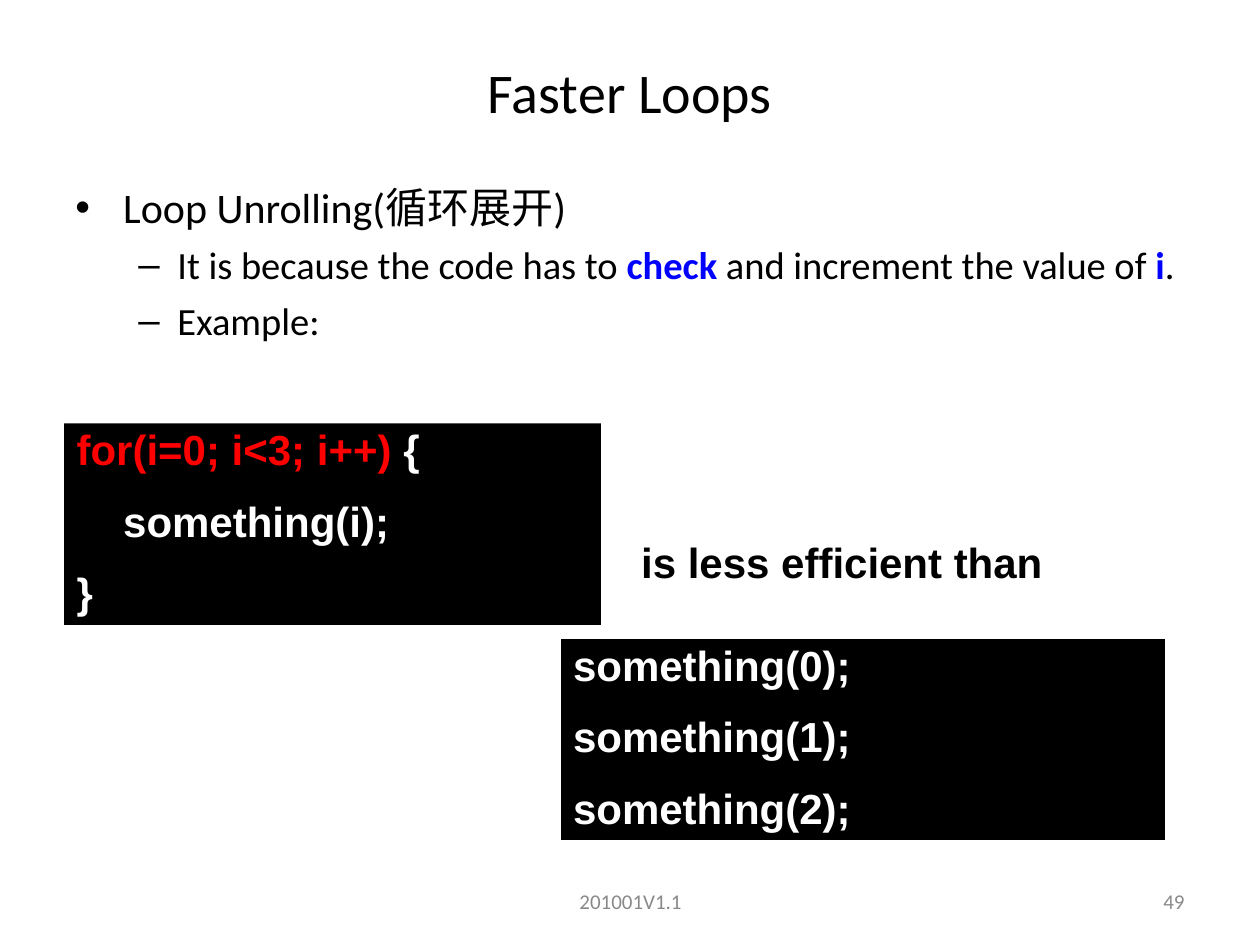
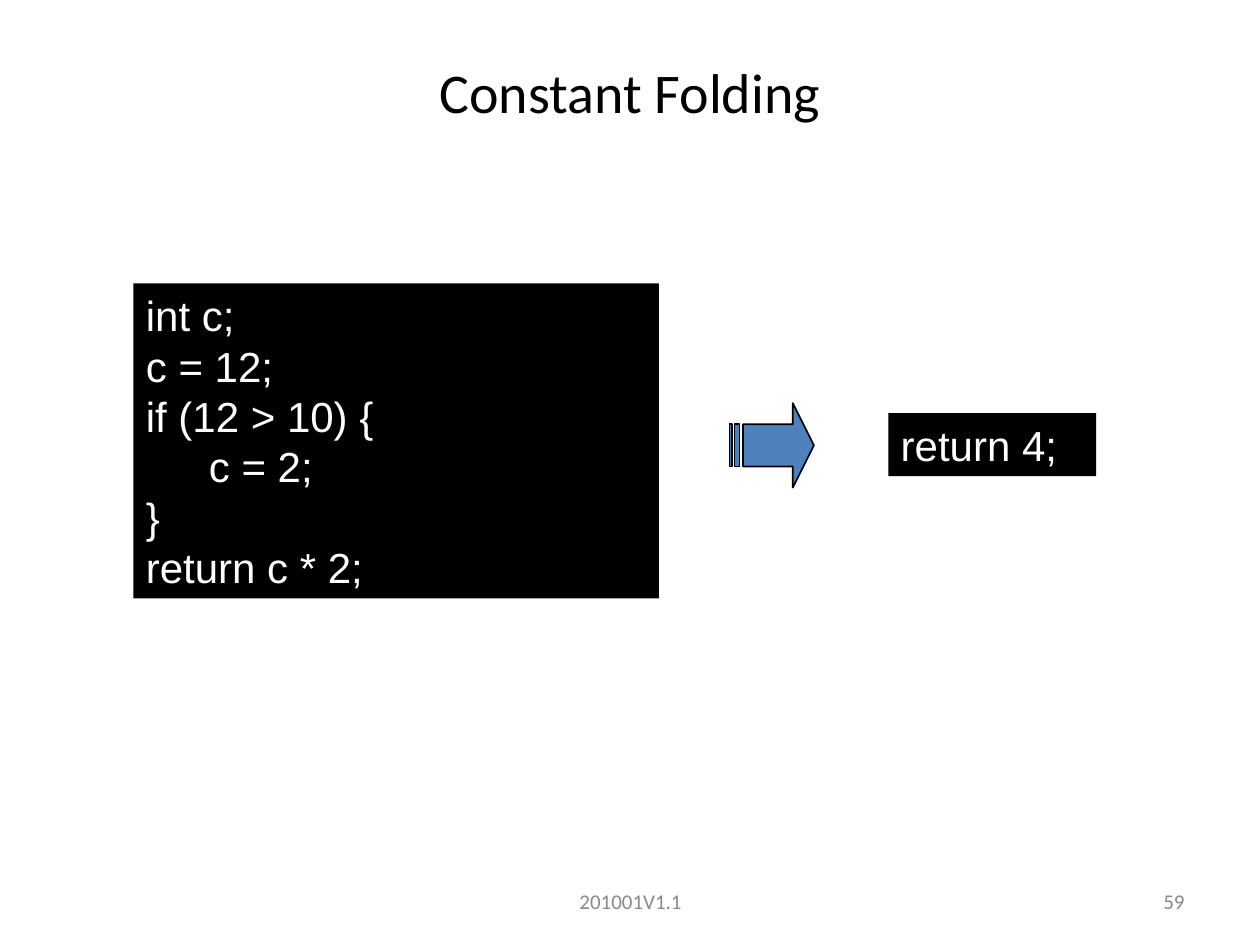
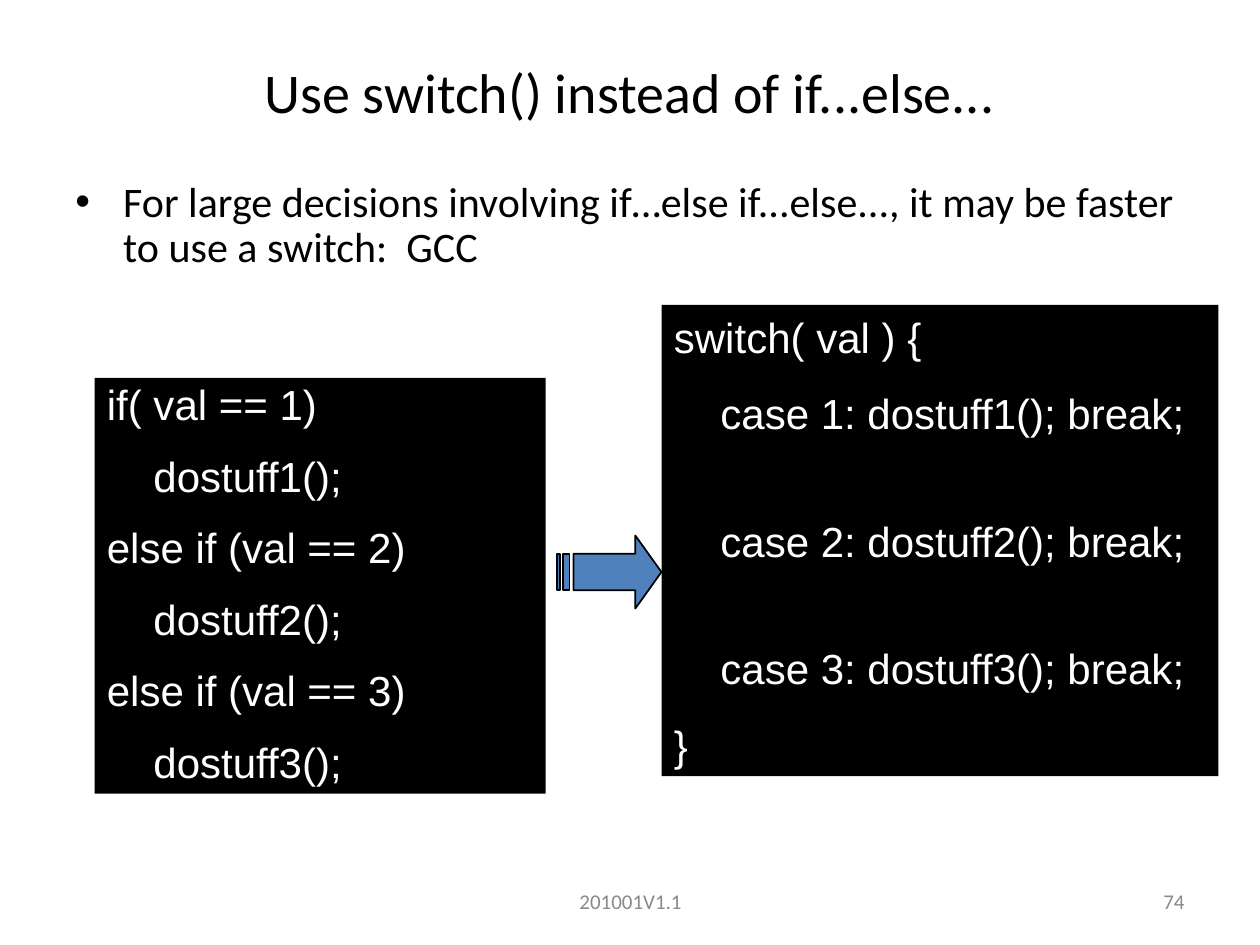
from lxml.etree import SubElement
from pptx import Presentation
from pptx.dml.color import RGBColor
from pptx.enum.shapes import MSO_SHAPE
from pptx.enum.text import MSO_ANCHOR, PP_ALIGN
from pptx.oxml.ns import qn
from pptx.util import Inches, Pt

BLACK = RGBColor(0x00, 0x00, 0x00)
WHITE = RGBColor(0xFF, 0xFF, 0xFF)
GREY = RGBColor(0x89, 0x89, 0x89)
RED = RGBColor(0xFF, 0x00, 0x00)
BLUE = RGBColor(0x00, 0x00, 0xFF)
ARROW_BLUE = RGBColor(0x4F, 0x81, 0xBD)

PROSE_FONT = "Calibri"
CODE_FONT = "Arial"
CODE_SIZE = 24
TIGHT = 0.9
CODE_GAP = 15
SKIPPED_LINE_GAP = 44

# Per level: bullet, text indent, hanging indent, size, space before
LEVELS = [("•", 0.38, 0.38, 24, 6), ("–", 0.81, 0.31, 22, 5.5)]

# Arrow outlines as fractions of the arrow's width and height
ARROW_HEAD = [(0.75, 0), (0.75, 0.25), (0.16, 0.25), (0.16, 0.75),
              (0.75, 0.75), (0.75, 1), (1, 0.5)]
ARROW_STRIPES = [[(x1, 0.25), (x1, 0.75), (x2, 0.75), (x2, 0.25)]
                 for x1, x2 in ((0.06, 0.12), (0, 0.03))]


class Deck:
    def __init__(self):
        self.presentation = Presentation()
        self.presentation.slide_width = Inches(10)
        self.presentation.slide_height = Inches(7.5)
        self.slide = None

    def new_slide(self, title, number):
        self.slide = self.presentation.slides.add_slide(
            self.presentation.slide_layouts[6])
        self.label("201001V1.1", (3.42, 6.95, 3.17, 0.4), 12, GREY)
        self.label(number, (7.17, 6.95, 2.33, 0.4), 12, GREY, PP_ALIGN.RIGHT)
        self.label(title, (0, 0.3, 10, 0.85), 32)

    def text_frame(self, place):
        frame = self.slide.shapes.add_textbox(*map(Inches, place)).text_frame
        frame.word_wrap = True
        return frame

    def fill_paragraph(self, paragraph, content, font, size, color, bold=False):
        """Fill a paragraph from a string or a list of strings and (text, colour) accents."""
        paragraph.font.name = font
        paragraph.font.size = Pt(size)
        paragraph.font.color.rgb = color
        paragraph.font.bold = bold
        for part in [content] if isinstance(content, str) else content:
            run = paragraph.add_run()
            if isinstance(part, str):
                run.text = part
            else:
                run.text, run.font.color.rgb = part
                run.font.bold = True

    def label(self, text, place, size, color=BLACK, align=PP_ALIGN.CENTER,
              font=PROSE_FONT, bold=False):
        frame = self.text_frame(place)
        frame.vertical_anchor = MSO_ANCHOR.MIDDLE
        paragraph = frame.paragraphs[0]
        paragraph.alignment = align
        self.fill_paragraph(paragraph, text, font, size, color, bold)

    def bullets(self, items, place, line_spacing=1.0):
        frame = self.text_frame(place)
        for index, (level, content) in enumerate(items):
            mark, indent, hanging, size, gap = LEVELS[level]
            paragraph = frame.add_paragraph() if index else frame.paragraphs[0]
            paragraph.level = level
            paragraph.line_spacing = line_spacing
            if index:
                paragraph.space_before = Pt(gap)
            properties = paragraph._p.get_or_add_pPr()
            properties.set("marL", str(Inches(indent)))
            properties.set("indent", str(-Inches(hanging)))
            SubElement(properties, qn("a:buFont"), typeface="Arial")
            SubElement(properties, qn("a:buChar"), char=mark)
            self.fill_paragraph(paragraph, content, PROSE_FONT, size, BLACK)

    def code(self, lines, place, line_spacing=1.0, gap=0, gaps=None, bold=False,
             outline=None):
        """Draw a black code box; gaps gives the space before single lines by index."""
        box = self.slide.shapes.add_shape(MSO_SHAPE.RECTANGLE, *map(Inches, place))
        box.shadow.inherit = False
        box.fill.solid()
        box.fill.fore_color.rgb = BLACK
        if outline is None:
            box.line.fill.background()
        else:
            box.line.color.rgb = outline
            box.line.width = Pt(0.75)
        frame = box.text_frame
        frame.word_wrap = True
        frame.vertical_anchor = MSO_ANCHOR.TOP
        for index, line in enumerate(lines):
            paragraph = frame.add_paragraph() if index else frame.paragraphs[0]
            paragraph.alignment = PP_ALIGN.LEFT
            paragraph.line_spacing = line_spacing
            if index:
                paragraph.space_before = Pt((gaps or {}).get(index, gap))
            self.fill_paragraph(paragraph, line, CODE_FONT, CODE_SIZE, WHITE, bold)

    def striped_arrow(self, left, top, width, height):
        def scaled(outline):
            return [(Inches(left + x * width), Inches(top + y * height))
                    for x, y in outline]

        head = scaled(ARROW_HEAD)
        builder = self.slide.shapes.build_freeform(*head[0])
        builder.add_line_segments(head[1:])
        for stripe in map(scaled, ARROW_STRIPES):
            builder.move_to(*stripe[0])
            builder.add_line_segments(stripe[1:])
        arrow = builder.convert_to_shape()
        arrow.shadow.inherit = False
        arrow.fill.solid()
        arrow.fill.fore_color.rgb = ARROW_BLUE
        arrow.line.color.rgb = BLACK
        arrow.line.width = Pt(1)


def faster_loops(deck):
    deck.new_slide("Faster Loops", "49")
    deck.bullets([
        (0, "Loop Unrolling(循环展开)"),
        (1, ["It is because the code has to ", ("check ", BLUE),
             "and increment the value of ", ("i", BLUE), "."]),
        (1, "Example:"),
    ], (0.5, 1.39, 9.23, 5.31))
    deck.code([[("for(i=0; i<3; i++)", RED), " {"], "    something(i);", "}"],
              (0.51, 3.36, 4.26, 1.6), TIGHT, CODE_GAP, bold=True)
    deck.code([f"something({i});" for i in range(3)],
              (4.45, 5.07, 4.8, 1.6), TIGHT, CODE_GAP, bold=True, outline=WHITE)
    deck.label("is less efficient than", (4.99, 4.23, 3.48, 0.46), CODE_SIZE,
               align=PP_ALIGN.LEFT, font=CODE_FONT, bold=True)


def constant_folding(deck):
    deck.new_slide("Constant Folding", "59")
    deck.code(["int c;", "c = 12;", "if (12 > 10) {", "\tc = 2;", "}",
               "return c * 2;"], (1.06, 2.25, 4.17, 2.5))
    deck.striped_arrow(5.79, 3.2, 0.67, 0.67)
    deck.code(["return 4;"], (7.05, 3.28, 1.65, 0.5))


def switch_instead_of_if(deck):
    deck.new_slide("Use switch() instead of if...else...", "74")
    deck.bullets([(0, "For large decisions involving if…else if...else..., "
                      "it may be faster to use a switch:  GCC")],
                 (0.5, 1.39, 9, 1.33), TIGHT)
    deck.code(["if( val == 1)", "    dostuff1();",
               "else if (val == 2)", "    dostuff2();",
               "else if (val == 3)", "    dostuff3();"],
              (0.75, 3, 3.58, 3.3), TIGHT, CODE_GAP)
    cases = [f"    case {i}: dostuff{i}(); break;" for i in (1, 2, 3)]
    deck.code(["switch( val ) {", *cases, "}"], (5.25, 2.42, 4.42, 3.74),
              gap=CODE_GAP, gaps={2: SKIPPED_LINE_GAP, 3: SKIPPED_LINE_GAP})
    deck.striped_arrow(4.42, 4.25, 0.83, 0.58)


def main():
    deck = Deck()
    faster_loops(deck)
    constant_folding(deck)
    switch_instead_of_if(deck)
    deck.presentation.save("out.pptx")


if __name__ == "__main__":
    main()
